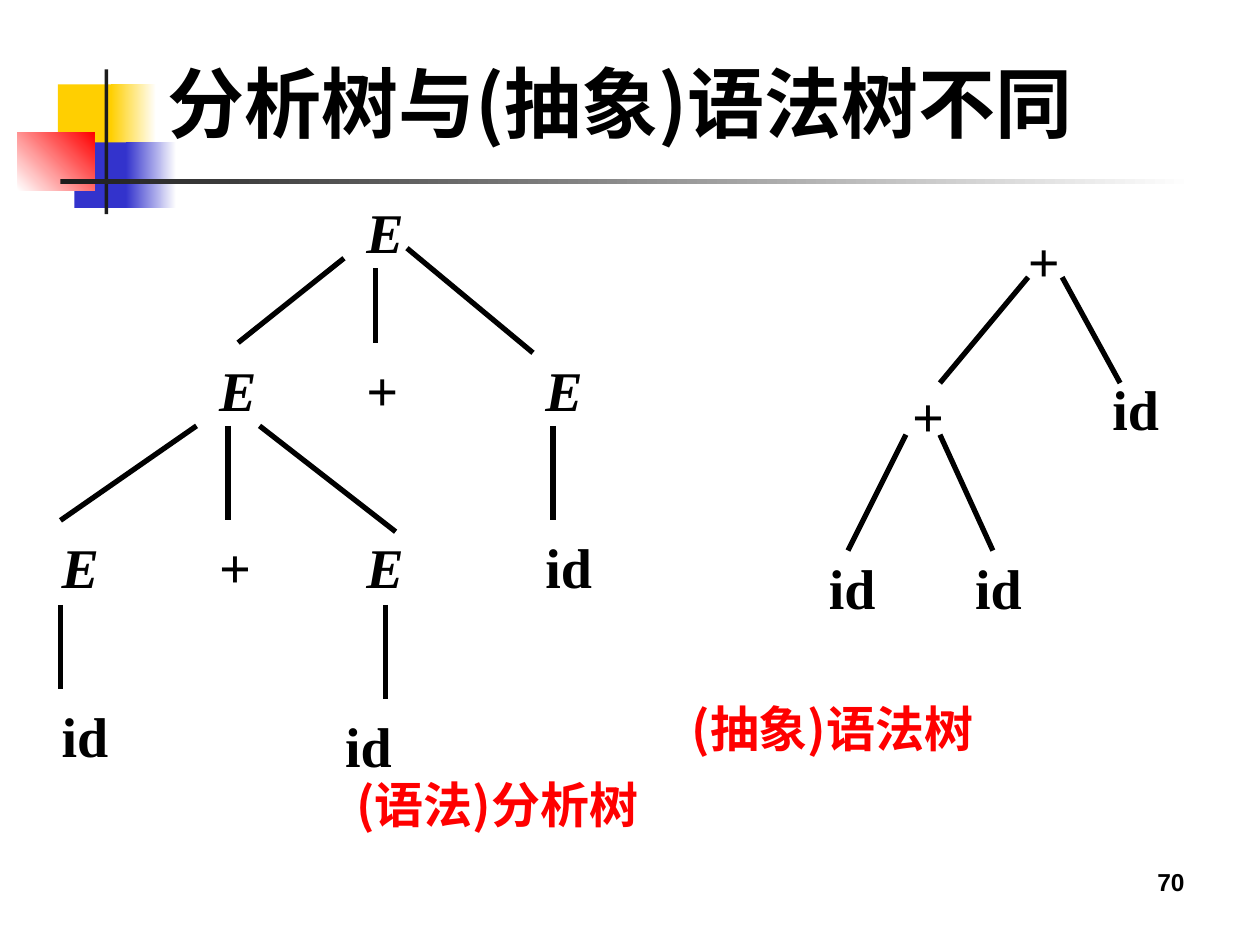
import pptx
import pptx.dml.color
import pptx.enum.shapes
import pptx.enum.text
import pptx.oxml
import pptx.oxml.ns
import pptx.util

Inches = pptx.util.Inches
Pt = pptx.util.Pt
ALIGN = pptx.enum.text.PP_ALIGN
ANCHOR = pptx.enum.text.MSO_ANCHOR
CJK, SERIF, SANS = "Noto Sans CJK SC", "Times New Roman", "Arial"
BLACK, RED = "000000", "FF0000"

# Decoration: left, top, width, height, colours (two make a gradient), angle
DECOR = [
    (0.46, 0.67, 0.48, 0.52, ["FFCF01"], 0),
    (0.88, 0.67, 0.36, 0.52, ["FFCF01", "FFFFFF"], 0),
    (0.59, 1.13, 0.46, 0.52, ["3333CC"], 0),
    (1.00, 1.13, 0.40, 0.52, ["3333CC", "FFFFFF"], 0),
    (0.14, 1.05, 0.61, 0.46, ["FFFFFF", "FF0000"], 45),
    (0.83, 0.55, 0.03, 1.15, ["1C1C1C"], 0),
    (0.48, 1.42, 9.00, 0.04, ["1C1C1C", "FFFFFF"], 0),
]

# Each tree: node box size, nodes (text, left, top), edges (x1, y1, x2, y2)
PARSE_TREE = {
    "size": (0.8, 0.67),
    "nodes": [
        ("E", 2.81, 1.47),
        ("E", 1.64, 2.72), ("+", 2.81, 2.72), ("E", 4.23, 2.72),
        ("E", 0.39, 4.13), ("+", 1.64, 4.13), ("E", 2.81, 4.13), ("id", 4.23, 4.13),
        ("id", 0.39, 5.47), ("id", 2.64, 5.55),
    ],
    "edges": [
        (2.73, 2.05, 1.89, 2.72), (2.98, 2.13, 2.98, 2.72), (3.23, 1.97, 4.23, 2.8),
        (1.56, 3.38, 0.48, 4.13), (1.81, 3.38, 1.81, 4.13), (2.06, 3.38, 3.14, 4.22),
        (4.39, 3.38, 4.39, 4.13), (0.48, 4.8, 0.48, 5.47), (3.06, 4.8, 3.06, 5.55),
    ],
}
SYNTAX_TREE = {
    "size": (1.25, 0.69),
    "nodes": [
        ("+", 8.06, 1.7), ("+", 7.14, 2.93), ("id", 8.73, 2.87),
        ("id", 6.48, 4.29), ("id", 7.64, 4.29),
    ],
    "edges": [
        (8.16, 2.2, 7.46, 3.04), (8.43, 2.2, 8.89, 3.04),
        (7.19, 3.45, 6.73, 4.37), (7.46, 3.45, 7.88, 4.37),
    ],
}
CAPTIONS = [
    ("(语法)分析树", 2.73, 6.05, 2.67, 1.13),
    ("(抽象)语法树", 5.39, 5.45, 3.08, 0.61),
]


def rgb(value):
    return pptx.dml.color.RGBColor.from_string(value)


def add_block(slide, left, top, width, height, colors, angle):
    sp = slide.shapes.add_shape(pptx.enum.shapes.MSO_SHAPE.RECTANGLE,
                                *map(Inches, (left, top, width, height)))
    sp.shadow.inherit = False
    sp.line.fill.background()
    if len(colors) == 1:
        sp.fill.solid()
        sp.fill.fore_color.rgb = rgb(colors[0])
        return
    sp.fill.gradient()
    sp.fill.gradient_angle = angle
    for stop, color in zip(sp.fill.gradient_stops, colors):
        stop.color.rgb = rgb(color)


def add_text(slide, text, left, top, width, height, size, font, color=BLACK,
             italic=False, align=ALIGN.LEFT, anchor=ANCHOR.TOP, spacing=None, inset=0.05):
    sp = slide.shapes.add_textbox(*map(Inches, (left, top, width, height)))
    tf = sp.text_frame
    tf.word_wrap = True
    tf.vertical_anchor = anchor
    tf.margin_top = Inches(inset)
    tf.text = text
    p = tf.paragraphs[0]
    p.alignment = align
    p.line_spacing = spacing
    r = p.runs[0]
    r.font.name, r.font.size = font, Pt(size)
    r.font.bold, r.font.italic = True, italic
    r.font.color.rgb = rgb(color)
    # East Asian typeface for the Chinese characters
    ea = pptx.oxml.parse_xml(f'<a:ea {pptx.oxml.ns.nsdecls("a")} typeface="{font}"/>')
    r.font._element.append(ea)


def add_edge(slide, x1, y1, x2, y2):
    line = slide.shapes.add_connector(pptx.enum.shapes.MSO_CONNECTOR.STRAIGHT,
                                      *map(Inches, (x1, y1, x2, y2)))
    line.line.color.rgb = rgb(BLACK)
    line.line.width = Pt(3)
    line._element.spPr.append(
        pptx.oxml.parse_xml(f'<a:effectLst {pptx.oxml.ns.nsdecls("a")}/>'))


def add_tree(slide, tree):
    for edge in tree["edges"]:
        add_edge(slide, *edge)
    for text, left, top in tree["nodes"]:
        add_text(slide, text, left, top, *tree["size"], 32, SERIF,
                 italic=text == "E", inset=0.1)


def main():
    prs = pptx.Presentation()
    prs.slide_width, prs.slide_height = Inches(10), Inches(7.5)
    slide = prs.slides.add_slide(prs.slide_layouts[6])

    # Corner blocks and rules
    for block in DECOR:
        add_block(slide, *block)

    # Page number and title
    add_text(slide, "70", 7.17, 6.83, 2.33, 0.52, 14, SANS, align=ALIGN.RIGHT)
    add_text(slide, "分析树与(抽象)语法树不同", 1.23, 0.31, 8.5, 1, 44, CJK,
             anchor=ANCHOR.MIDDLE)

    # Trees and their captions
    for tree in (PARSE_TREE, SYNTAX_TREE):
        add_tree(slide, tree)
    for caption in CAPTIONS:
        add_text(slide, *caption, 28, CJK, color=RED, spacing=1.1)

    prs.save("out.pptx")


if __name__ == "__main__":
    main()
